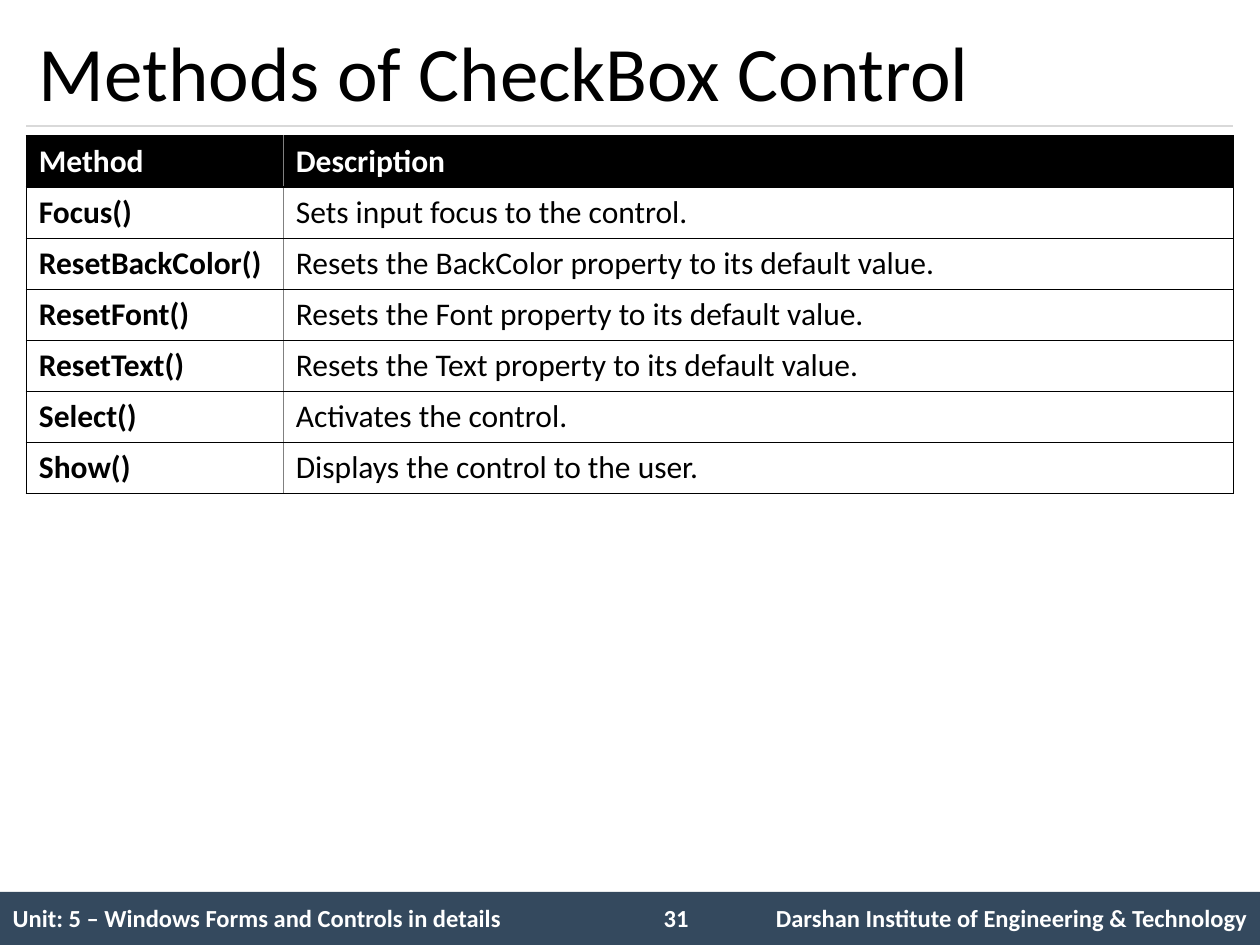
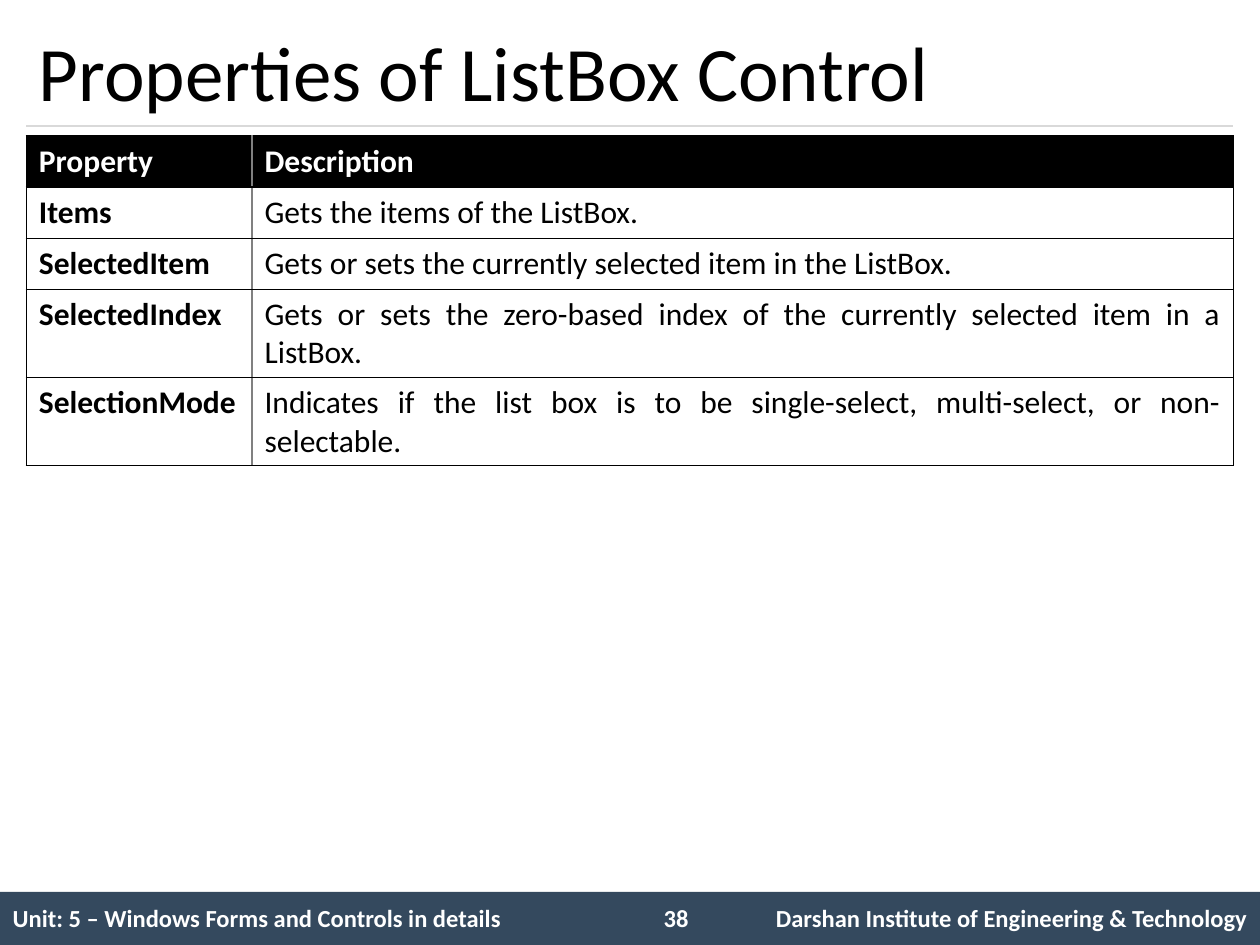
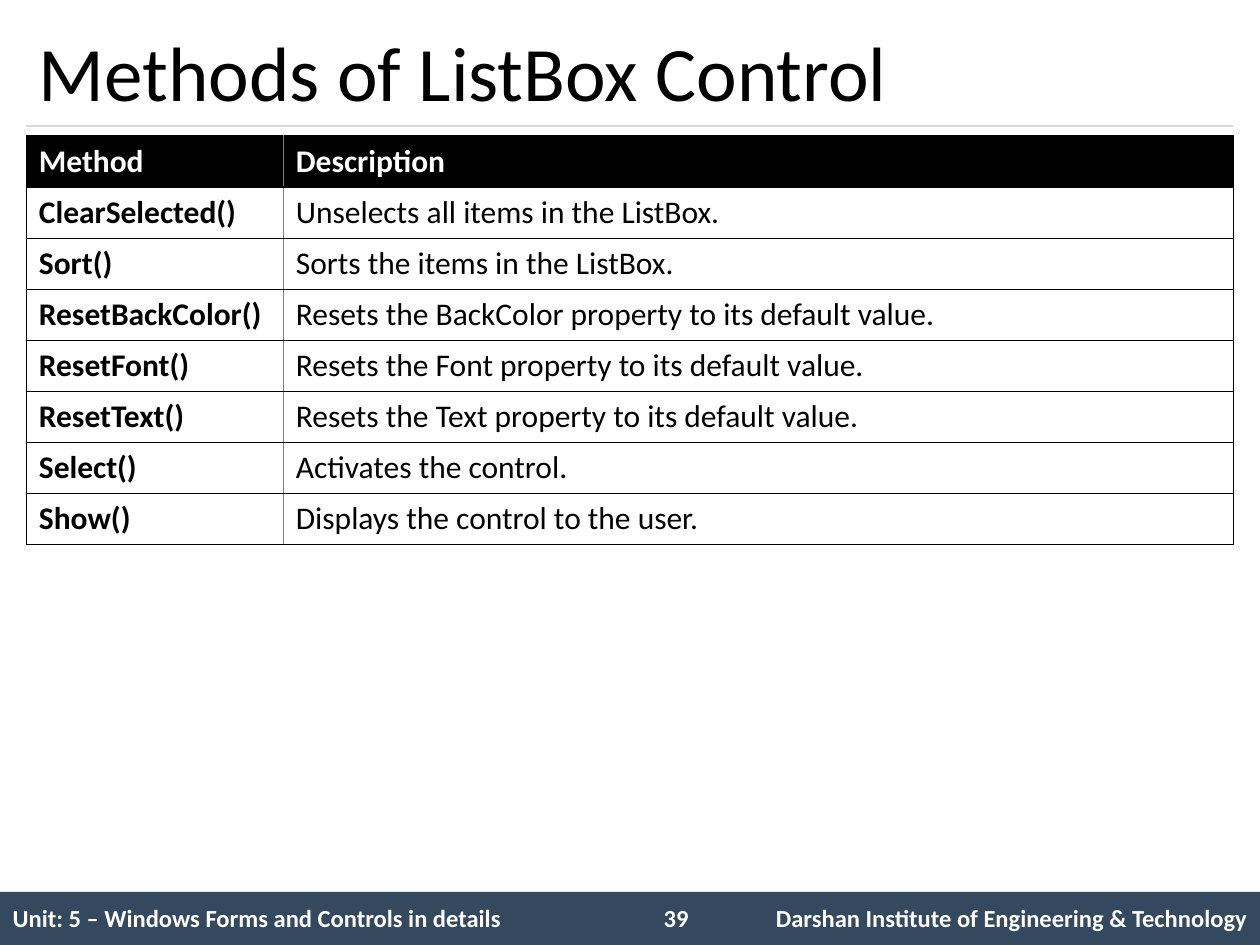
from lxml.etree import SubElement as Sub
from pptx import Presentation
from pptx.dml.color import RGBColor as Rgb
from pptx.enum.shapes import MSO_CONNECTOR as Link, MSO_SHAPE as Kind
from pptx.enum.text import MSO_ANCHOR as Anchor, PP_ALIGN as Align
from pptx.oxml.ns import qn
from pptx.util import Cm, Pt

BLACK, WHITE, GREY, PALE, NAVY = "000000", "FFFFFF", "808080", "D9D9D9", "34495E"
HEAD = {"name": "Calibri", "size": Pt(44), "bold": False}
BODY = {"name": "Calibri", "size": Pt(18), "bold": False}
BOLD = {**BODY, "bold": True}
FOOT = {**BOLD, "size": Pt(14)}
WIDE, HIGH = 25.4, 19.05
LEFT, SPAN, ROW = 0.53, 24.33, 1.03
PLAIN = "{2D5ABB26-0587-4C30-8999-92F81FD0307C}"
UNIT = "Unit: 5 – Windows Forms and Controls in details"
SCHOOL = "Darshan Institute of Engineering & Technology"

RESET = [
    ("ResetBackColor()", "Resets the BackColor property to its default value."),
    ("ResetFont()", "Resets the Font property to its default value."),
    ("ResetText()", "Resets the Text property to its default value."),
    ("Select()", "Activates the control."),
    ("Show()", "Displays the control to the user."),
]
PAGES = [
    ("Methods of CheckBox Control", 31, "Method", 5.18, Align.LEFT,
     [("Focus()", "Sets input focus to the control."), *RESET]),
    ("Properties of ListBox Control", 38, "Property", 4.55, Align.JUSTIFY, [
        ("Items", "Gets the items of the ListBox."),
        ("SelectedItem", "Gets or sets the currently selected item in the ListBox."),
        ("SelectedIndex", "Gets or sets the zero-based index of the currently "
                          "selected item in a ListBox."),
        ("SelectionMode", "Indicates if the list box is to be single-select, "
                          "multi-select, or non-selectable."),
    ]),
    ("Methods of ListBox Control", 39, "Method", 5.18, Align.LEFT, [
        ("ClearSelected()", "Unselects all items in the ListBox."),
        ("Sort()", "Sorts the items in the ListBox."), *RESET]),
]


def tint(code):
    """Turn a hex string into a colour."""
    return Rgb.from_string(code)


class Deck:
    """Hold the style and the current slide."""

    def __init__(self):
        """Open an empty deck of the right size."""
        self.show = Presentation()
        self.show.slide_width, self.show.slide_height = Cm(WIDE), Cm(HIGH)

    def words(self, frame, text, form, ink, align=Align.LEFT):
        """Put one formatted paragraph in a text frame."""
        para = frame.paragraphs[0]
        para.alignment = align
        run = para.add_run()
        run.text = text
        for key, value in form.items():
            setattr(run.font, key, value)
        run.font.color.rgb = tint(ink)

    def title(self, text):
        """Start a slide with its title."""
        self.slide = self.show.slides.add_slide(self.show.slide_layouts[5])
        head = self.slide.shapes.title
        spot = {"left": LEFT, "top": 0.3, "width": SPAN, "height": 2.24}
        for key, value in spot.items():
            setattr(head, key, Cm(value))
        head.text_frame.vertical_anchor = Anchor.MIDDLE
        self.words(head.text_frame, text, HEAD, BLACK)

    def band(self, top, high):
        """Draw the full-width footer band."""
        box = self.slide.shapes.add_shape(
            Kind.RECTANGLE, 0, Cm(top), Cm(WIDE), Cm(high))
        box.shadow.inherit = False
        box.fill.solid()
        box.fill.fore_color.rgb = tint(NAVY)
        box.line.fill.background()

    def rule(self, top):
        """Draw the line below the title."""
        line = self.slide.shapes.add_connector(
            Link.STRAIGHT, Cm(LEFT), Cm(top), Cm(LEFT + SPAN), Cm(top))
        line.line.color.rgb = tint(PALE)
        line.line.width = Pt(0.75)
        Sub(line._element.spPr, qn("a:effectLst"))

    def label(self, text, left, top, wide, high):
        """Place a short footer text."""
        box = self.slide.shapes.add_textbox(Cm(left), Cm(top), Cm(wide), Cm(high))
        box.text_frame.word_wrap = True
        self.words(box.text_frame, text, FOOT, WHITE)

    def grid(self, left, top, cols, count, high):
        """Add a table without any built-in style."""
        table = self.slide.shapes.add_table(
            count, len(cols), Cm(left), Cm(top), Cm(sum(cols)), Cm(high * count)).table
        table.first_row = table.horz_banding = False
        table._tbl.tblPr.find(qn("a:tableStyleId")).text = PLAIN
        for col, wide in zip(table.columns, cols):
            col.width = Cm(wide)
        return table

    def edge(self, cell, side, ink, wide):
        """Draw one border of a cell."""
        line = Sub(cell._tc.get_or_add_tcPr(), qn(f"a:ln{side}"), w=str(Pt(wide)))
        Sub(Sub(line, qn("a:solidFill")), qn("a:srgbClr"), val=ink)

    def chart(self, rows, first, align):
        """Fill the two-column table of names and meanings."""
        table = self.grid(LEFT, 2.74, (first, SPAN - first), len(rows), ROW)
        inner, outer = (GREY, 1), (BLACK, 0.75)
        for r, row in enumerate(rows):
            for c, text in enumerate(row):
                cell = table.cell(r, c)
                sides = {"L": inner if c else outer, "R": outer if c else inner,
                         "T": outer, "B": outer}
                for side, look in sides.items():
                    self.edge(cell, side, *look)
                cell.fill.solid()
                cell.fill.fore_color.rgb = tint(WHITE if r else BLACK)
                self.words(cell.text_frame, text, BODY if r and c else BOLD,
                           BLACK if r else WHITE, align if r and c else Align.LEFT)

    def foot(self, number):
        """Add the footer with unit, page number and school."""
        self.band(17.98, 1.07)
        table = self.grid(0, 17.98, (12.9, 1.7, 10.8), 1, 1.09)
        for c, text, align in ((0, UNIT, Align.LEFT), (2, SCHOOL, Align.RIGHT)):
            cell = table.cell(0, c)
            cell.vertical_anchor = Anchor.MIDDLE
            self.words(cell.text_frame, text, FOOT, WHITE, align)
        self.label(str(number), 13.13, 18.08, 1.47, 0.86)


def main():
    """Build every slide and save the deck."""
    deck = Deck()
    for title, number, name, first, align, rows in PAGES:
        deck.title(title)
        deck.rule(2.54)
        deck.foot(number)
        deck.chart([(name, "Description"), *rows], first, align)
    deck.show.save("out.pptx")


if __name__ == "__main__":
    main()
